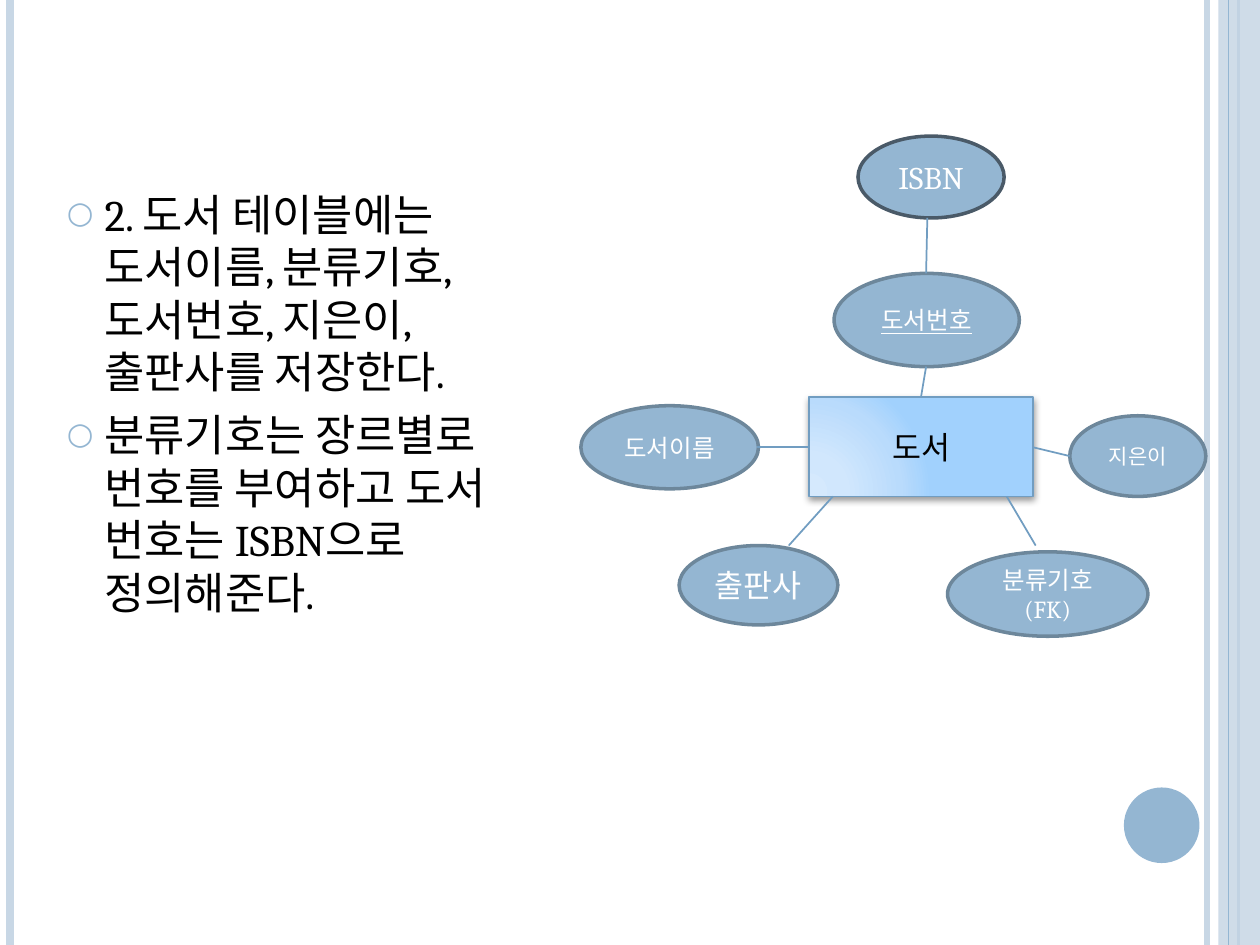
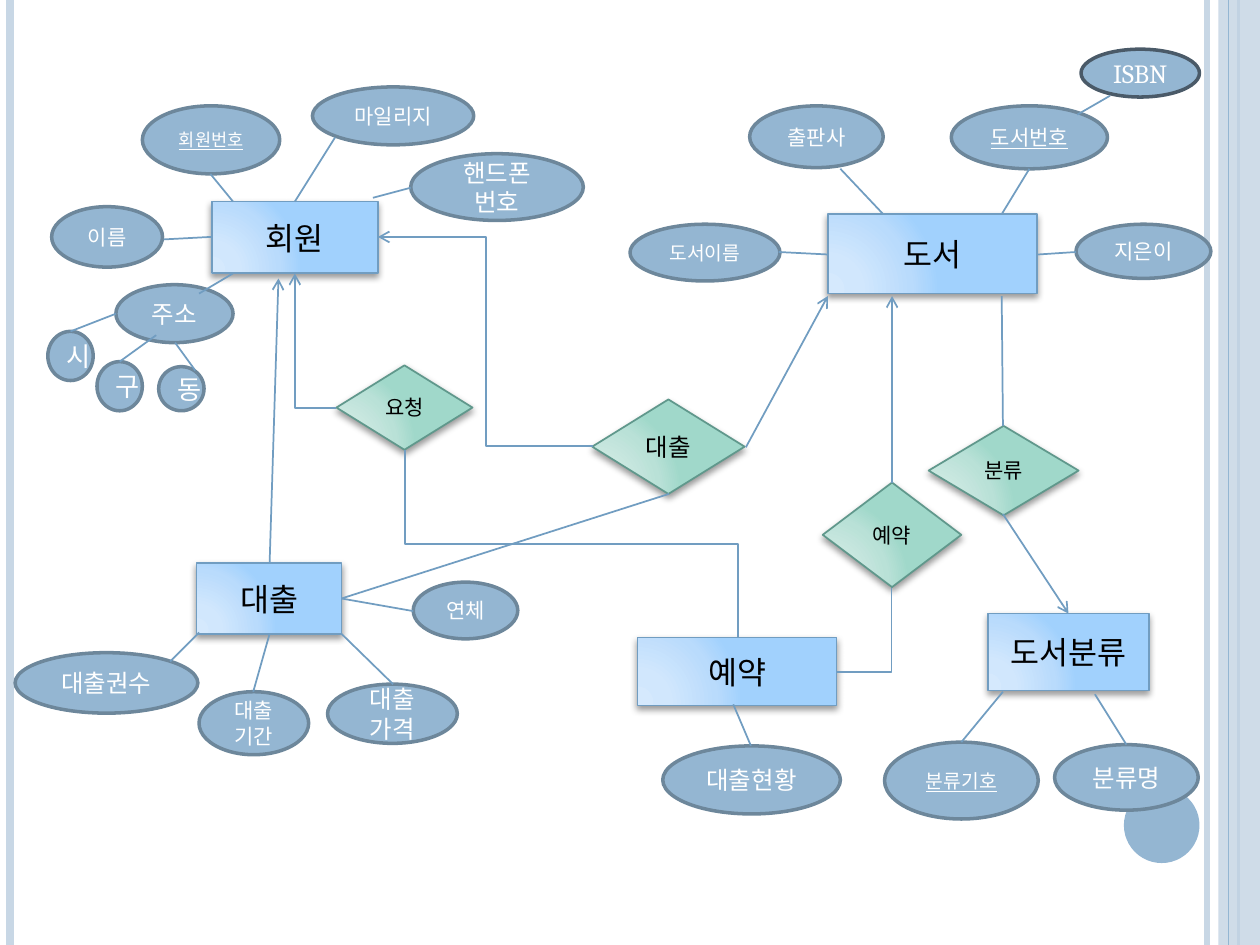
from lxml import etree
from pptx import Presentation
from pptx.dml.color import RGBColor
from pptx.enum.shapes import MSO_CONNECTOR as LINE, MSO_SHAPE as SHAPE
from pptx.enum.text import MSO_ANCHOR, PP_ALIGN
from pptx.oxml import parse_xml
from pptx.oxml.ns import nsdecls, qn
from pptx.util import Inches, Pt

FONT = "Cambria"
BLUE, PALE, EDGE = "94B6D2", "C8D7E5", "719DC1"
RIM, DARK = "6D879B", "4A5A68"
SKY = ("D5E9FD", "D1E7FD", "B9DBFC", "A1D1FD")
MINT = ("D5ECE6", "D1EAE4", "B9E1D7", "A0D8CA")


def rgb(code):
    return RGBColor.from_string(code)


def inch(*sizes):
    return [Inches(size) for size in sizes]


def add_run(para, words, size, color, key=False):
    run = para.add_run()
    run.text = words
    run.font.name, run.font.size = FONT, Pt(size)
    run.font.color.rgb = rgb(color)
    if key:
        run.font.underline = True


def add_node(slide, kind, box, label="", size=18, color="FFFFFF", key=False):
    node = slide.shapes.add_shape(kind, *inch(*box))
    node.shadow.inherit = False
    node.fill.solid()
    node.fill.fore_color.rgb = rgb(BLUE)
    node.line.fill.background()
    frame = node.text_frame
    frame.word_wrap = True
    frame.vertical_anchor = MSO_ANCHOR.MIDDLE
    for i, words in enumerate(label.split("\n") if label else []):
        para = frame.add_paragraph() if i else frame.paragraphs[0]
        para.alignment = PP_ALIGN.CENTER
        add_run(para, words, size, color, key)
    return node


def set_edge(item, color, width):
    item.line.color.rgb = rgb(color)
    item.line.width = Pt(width)


def add_line(slide, ends, color=EDGE, width=1, arrow=False, kind=LINE.STRAIGHT):
    line = slide.shapes.add_connector(kind, *inch(*ends))
    set_edge(line, color, width)
    props = line.element.spPr
    if arrow:
        etree.SubElement(props.find(qn("a:ln")), qn("a:tailEnd"), type="arrow")
    etree.SubElement(props, qn("a:effectLst"))
    return line


def add_bend(slide, box, preset, turn, flip=False, arrow=False):
    """Elbow line drawn in an unturned box, then turned by degrees."""
    x, y, w, h = box
    line = add_line(slide, (x, y, x + w, y + h), arrow=arrow, kind=LINE.ELBOW)
    props = line.element.spPr
    props.find(qn("a:prstGeom")).set("prst", preset)
    frame = props.find(qn("a:xfrm"))
    frame.set("rot", str(turn * 60000))
    if flip:
        frame.set("flipH", "1")


def add_glow(node, tones):
    """Radial blend and soft shadow."""
    stops = "".join(
        f'<a:gs pos="{pos}000"><a:srgbClr val="{tone}"/></a:gs>'
        for pos, tone in zip((0, 30, 75, 100), tones))
    props = node.element.spPr
    props.replace(props.find(qn("a:solidFill")), parse_xml(
        f'<a:gradFill {nsdecls("a")} rotWithShape="1"><a:gsLst>{stops}</a:gsLst>'
        '<a:path path="circle"><a:fillToRect l="5000" t="100000" r="120000" '
        'b="10000"/></a:path></a:gradFill>'))
    props.replace(props.find(qn("a:effectLst")), parse_xml(
        f'<a:effectLst {nsdecls("a")}><a:outerShdw blurRad="{Pt(4)}" dist="{Pt(2)}" '
        'dir="5400000" rotWithShape="0"><a:srgbClr val="000000">'
        '<a:alpha val="40000"/></a:srgbClr></a:outerShdw></a:effectLst>'))


def add_oval(slide, box, label, size, key=False, rim=RIM):
    set_edge(add_node(slide, SHAPE.OVAL, box, label, size, key=key), rim, 2)


def add_link(slide, box, label, size):
    """Diamond that names a relation."""
    node = add_node(slide, SHAPE.FLOWCHART_DECISION, box, label, size, "000000")
    set_edge(node, "60988C", 1)
    add_glow(node, MINT)


def add_table(slide, box, name, traits):
    """Entity with its ovals and spokes, measured from its top left corner."""
    x, y, w, h = box
    node = add_node(slide, SHAPE.RECTANGLE, box, name, 18, "000000")
    set_edge(node, EDGE, 1)
    add_glow(node, SKY)
    for (dx, dy, ow, oh), (x1, y1, x2, y2), *style in traits:
        add_oval(slide, (x + dx, y + dy, ow, oh), *style)
        add_line(slide, (x + x1, y + y1, x + x2, y + y2))


def add_bands(deck, slide):
    """Draw the side bands and disc, then hand them to the master."""
    def rail(x, color, width):
        return add_line(slide, (x, 0, x, 7.5), color, width)

    parts = [rail(9.58, PALE, 3), rail(0.08, PALE, 4.5), rail(9.83, BLUE, 1.5)]
    strip = add_node(slide, SHAPE.RECTANGLE, (9.67, 0, 0.33, 7.5))
    strip.fill.fore_color.rgb = rgb(PALE)
    tint = strip.element.spPr.find(".//" + qn("a:srgbClr"))
    etree.SubElement(tint, qn("a:alpha"), val="87000")
    parts += [strip, rail(9.75, BLUE, 0.75),
              add_node(slide, SHAPE.OVAL, (8.92, 6.25, 0.6, 0.6))]
    for i, part in enumerate(parts):
        part.element.find(".//" + qn("p:cNvPr")).set("id", str(100 + i))
        deck.slide_master.shapes.element.append(part.element)


def add_notes(body, box, lines):
    """Bulleted text in the body placeholder."""
    body.left, body.top, body.width, body.height = inch(*box)
    frame = body.text_frame
    for i, words in enumerate(lines):
        para = frame.add_paragraph() if i else frame.paragraphs[0]
        para.space_before = Pt(6)
        add_run(para, words, 25, "000000")
        props = para._p.get_or_add_pPr()
        props.set("marL", str(Inches(0.3)))
        props.set("indent", str(-Inches(0.3)))
        tint = etree.SubElement(props, qn("a:buClr"))
        etree.SubElement(tint, qn("a:srgbClr"), val=BLUE)
        etree.SubElement(props, qn("a:buSzPct"), val="70000")
        etree.SubElement(props, qn("a:buFont"), typeface=FONT)
        etree.SubElement(props, qn("a:buChar"), char="○")


def book_slide(deck):
    slide = deck.slides.add_slide(deck.slide_layouts[1])
    add_bands(deck, slide)
    title = slide.shapes.title.element
    title.getparent().remove(title)
    add_notes(slide.placeholders[1], (0.43, 1.44, 4.19, 5.31), (
        "2. 도서 테이블에는 도서이름, 분류기호, 도서번호, 지은이, 출판사를 저장한다.",
        "분류기호는 장르별로 번호를 부여하고 도서 번호는 ISBN으로 정의해준다."))
    add_table(slide, (6.42, 3.15, 1.78, 0.79), "도서", (
        ((-1.81, 0.07, 1.41, 0.66), (-0.41, 0.4, 0, 0.4), "도서이름", 14),
        ((0.2, -0.98, 1.47, 0.74), (0.93, -0.24, 0.89, 0), "도서번호", 14, True),
        ((-1.03, 1.18, 1.26, 0.63), (-0.16, 1.18, 0.19, 0.79), "출판사", 18),
        ((2.07, 0.15, 1.08, 0.64), (2.07, 0.47, 1.78, 0.4), "지은이", 12),
        ((1.1, 1.23, 1.59, 0.67), (1.57, 0.79, 1.8, 1.18), "분류기호\n(FK)", 14),
        ((0.39, -2.07, 1.16, 0.65), (0.93, -0.98, 0.94, -1.42), "ISBN", 18, False, DARK)))


def chart_slide(deck):
    """Whole entity relation diagram."""
    slide = deck.slides.add_slide(deck.slide_layouts[6])
    add_table(slide, (1.68, 1.6, 1.32, 0.57), "회원", (
        ((-1.27, 0.04, 0.88, 0.48), (-0.38, 0.3, 0, 0.28), "이름", 12),
        ((-0.55, -0.76, 1.09, 0.54), (-0.01, -0.22, 0.17, 0), "회원번호", 10, True),
        ((-0.76, 0.66, 0.93, 0.46), (-0.1, 0.73, 0.17, 0.57), "주소", 14),
        ((0.8, -0.91, 1.28, 0.46), (0.98, -0.51, 0.66, 0), "마일리지", 12),
        ((1.58, -0.38, 1.37, 0.53), (1.28, -0.03, 1.58, -0.11), "핸드폰 번호", 14),
        ((-1.3, 1.03, 0.36, 0.39), (-0.76, 0.89, -1.12, 1.03), "시", 15),
        ((-0.91, 1.27, 0.36, 0.39), (-0.44, 1.06, -0.73, 1.27), "구", 15),
        ((-0.42, 1.31, 0.36, 0.35), (-0.29, 1.12, -0.13, 1.34), "동", 15)))
    add_table(slide, (6.57, 1.7, 1.66, 0.63), "도서", (
        ((-1.57, 0.08, 1.19, 0.45), (-0.39, 0.3, 0, 0.32), "도서이름", 11),
        ((0.98, -0.86, 1.24, 0.5), (1.6, -0.36, 1.38, 0), "도서번호", 12, True),
        ((-0.62, -0.86, 1.06, 0.49), (0.1, -0.36, 0.44, 0), "출판사", 12),
        ((1.97, 0.08, 1.07, 0.43), (1.97, 0.3, 1.67, 0.32), "지은이", 12),
        ((2.01, -1.31, 0.94, 0.38), (1.98, -0.79, 2.24, -0.94), "ISBN", 15, False, DARK)))
    add_table(slide, (1.56, 4.47, 1.15, 0.56), "대출", (
        ((-1.44, 0.71, 1.45, 0.48), (-0.21, 0.78, 0.02, 0.55), "대출권수", 14),
        ((1.72, 0.15, 0.83, 0.45), (1.72, 0.38, 1.15, 0.28), "연체", 12),
        ((1.04, 0.96, 1.03, 0.47), (1.15, 0.56, 1.56, 0.96), "대출가격", 14),
        ((0.02, 1.02, 0.87, 0.5), (0.58, 0.56, 0.45, 1.02), "대출기간", 12)))
    add_table(slide, (5.06, 5.06, 1.58, 0.54), "예약", (
        ((0.2, 0.86, 1.41, 0.54), (0.76, 0.53, 0.9, 0.86), "대출현황", 14),))
    add_table(slide, (7.84, 4.87, 1.28, 0.61), "도서분류", (
        ((0.53, 1.04, 1.14, 0.52), (0.85, 0.64, 1.1, 1.04), "분류명", 14),
        ((-0.82, 1.02, 1.22, 0.61), (0.12, 0.62, -0.21, 1.02), "분류기호", 11, True)))

    for box, label, size in (
            ((4.7, 3.17, 1.21, 0.75), "대출", 14),
            ((2.67, 2.9, 1.08, 0.67), "요청", 12),
            ((7.37, 3.38, 1.19, 0.71), "분류", 12),
            ((6.53, 3.83, 1.1, 0.83), "예약", 12)):
        add_link(slide, box, label, size)
    for ends, arrow in (
            ((7.95, 2.35, 7.96, 3.38), False),
            ((5.31, 3.92, 2.71, 4.75), False),
            ((5.92, 3.55, 6.57, 2.35), True),
            ((7.08, 3.83, 7.08, 2.35), True),
            ((7.96, 4.08, 8.48, 4.87), True),
            ((2.14, 4.47, 2.21, 2.21), True)):
        add_line(slide, ends, arrow=arrow)
    add_bend(slide, (3.79, 3, 1.49, 2.64), "bentConnector3", 270, flip=True)
    add_bend(slide, (6.52, 4.78, 0.67, 0.44), "bentConnector2", 90)
    add_bend(slide, (3, 1.88, 1.71, 1.66), "bentConnector3", 180, arrow=True)
    add_bend(slide, (2.34, 2.17, 0.33, 1.07), "bentConnector2", 180, arrow=True)


def main():
    deck = Presentation()
    deck.slide_width, deck.slide_height = inch(10, 7.5)
    book_slide(deck)
    chart_slide(deck)
    deck.save("out.pptx")


if __name__ == "__main__":
    main()
